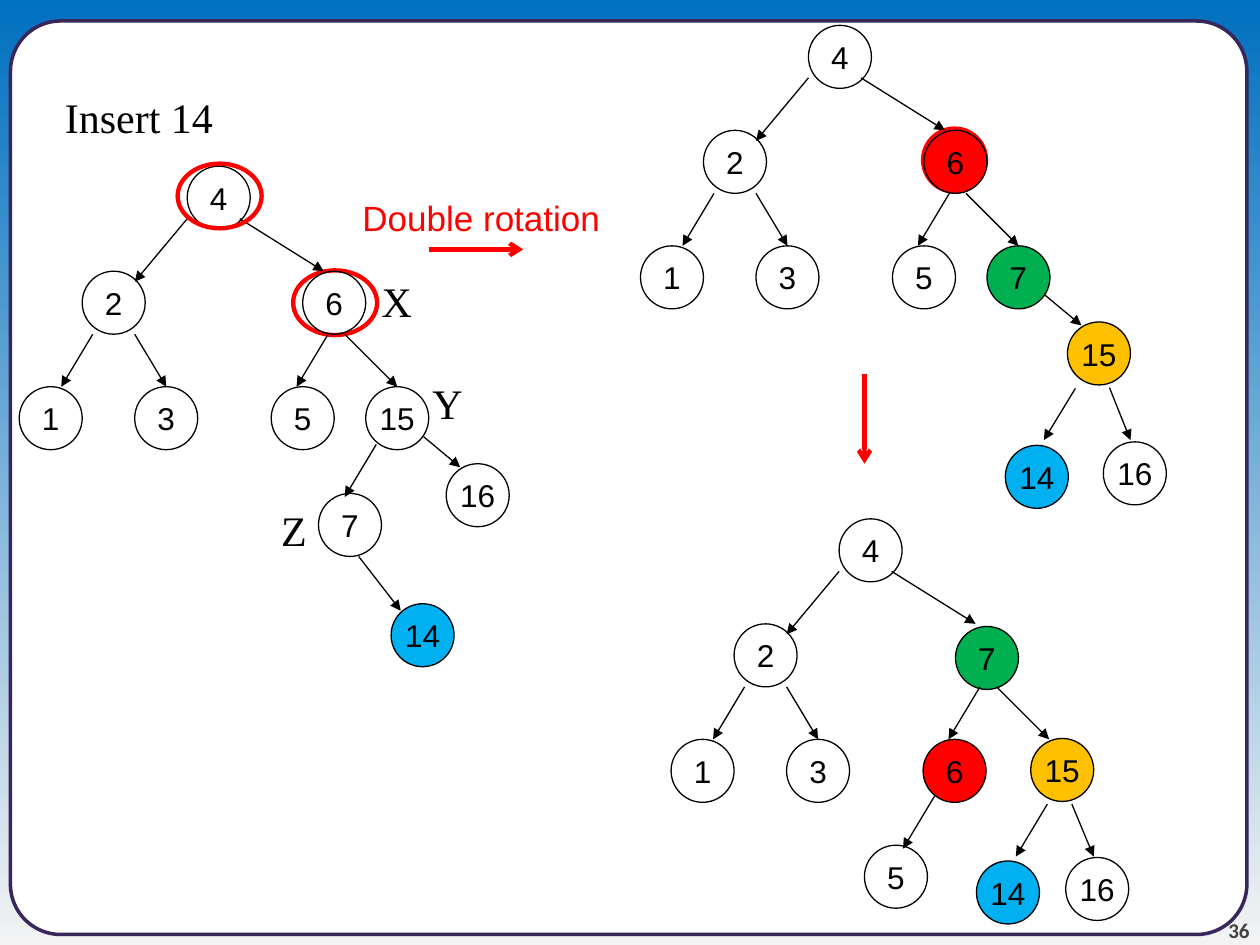
from dataclasses import dataclass

from lxml import etree
from pptx import Presentation
from pptx.dml.color import RGBColor
from pptx.enum.shapes import MSO_CONNECTOR, MSO_SHAPE
from pptx.enum.text import MSO_ANCHOR, PP_ALIGN
from pptx.oxml.ns import qn
from pptx.util import Pt

STRAIGHT = MSO_CONNECTOR.STRAIGHT
OVAL, RECTANGLE, ROUNDED = MSO_SHAPE.OVAL, MSO_SHAPE.RECTANGLE, MSO_SHAPE.ROUNDED_RECTANGLE
TOP, MIDDLE, BOTTOM = MSO_ANCHOR.TOP, MSO_ANCHOR.MIDDLE, MSO_ANCHOR.BOTTOM
LEFT, CENTER, RIGHT = PP_ALIGN.LEFT, PP_ALIGN.CENTER, PP_ALIGN.RIGHT


@dataclass(frozen=True)
class Theme:
    black: str = "000000"
    white: str = "FFFFFF"
    red: str = "FF0000"
    green: str = "00B050"
    amber: str = "FFC000"
    sky: str = "00B0F0"
    frame: str = "39275B"
    number: str = "424242"
    back_top: str = "0070C0"
    back_bottom: str = "F3F3F3"
    sans: str = "Arial"
    serif: str = "Times New Roman"
    footer: str = "Calibri"
    title_size: float = 24
    label_size: float = 20
    node_size: float = 18
    number_size: float = 12
    thin: float = 0.75
    thick: float = 2.5


THEME = Theme()
NODE = 36  # diameter of a tree node

# Every tree has the same left half and the same six upper edges,
# all measured from the top left corner of the root node.
LEFT_HALF = [("4", 0, 0, None), ("2", -60, 60, None), ("1", -96, 126, None), ("3", -30, 126, None)]
UPPER_EDGES = [(0, 30, -30, 66), (30, 30, 78, 60), (-54, 96, -72, 126),
               (-30, 96, -12, 126), (80.5, 96, 62.5, 126), (90, 96, 120, 126)]


def set_text(box, text, *, font=THEME.sans, size=THEME.node_size, color=THEME.black,
             bold=False, align=LEFT, anchor=TOP, wrap=False, inset=None):
    frame = box.text_frame
    frame.word_wrap = wrap
    frame.vertical_anchor = anchor
    if inset is not None:
        frame.margin_left = frame.margin_right = Pt(inset)
        frame.margin_top = frame.margin_bottom = Pt(inset)
    para = frame.paragraphs[0]
    para.alignment = align
    span = para.add_run()
    span.text = text
    span.font.name, span.font.size, span.font.bold = font, Pt(size), bold
    span.font.color.rgb = RGBColor.from_string(color)


def add_label(page, text, left, top, width, height, **style):
    box = page.shapes.add_textbox(Pt(left), Pt(top), Pt(width), Pt(height))
    set_text(box, text, **style)


def add_outline(page, kind, left, top, width, height, fill=None, line=None, weight=THEME.thin):
    shape = page.shapes.add_shape(kind, Pt(left), Pt(top), Pt(width), Pt(height))
    shape.shadow.inherit = False
    if fill:
        shape.fill.solid()
        shape.fill.fore_color.rgb = RGBColor.from_string(fill)
    else:
        shape.fill.background()
    if line:
        shape.line.color.rgb = RGBColor.from_string(line)
        shape.line.width = Pt(weight)
    else:
        shape.line.fill.background()
    return shape


def add_arrow(page, x1, y1, x2, y2, color=THEME.black, weight=THEME.thin, head="triangle"):
    arrow = page.shapes.add_connector(STRAIGHT, Pt(x1), Pt(y1), Pt(x2), Pt(y2))
    arrow.line.color.rgb = RGBColor.from_string(color)
    arrow.line.width = Pt(weight)
    etree.SubElement(arrow.line._get_or_add_ln(), qn("a:tailEnd"), type=head)
    etree.SubElement(arrow._element.spPr, qn("a:effectLst"))


def add_step_arrow(page, x1, y1, x2, y2):
    add_arrow(page, x1, y1, x2, y2, color=THEME.red, weight=THEME.thick, head="arrow")


def add_ring(page, left, top, width, height):
    add_outline(page, OVAL, left, top, width, height, line=THEME.red, weight=THEME.thick)


def add_tree(page, left, top, nodes, edges):
    """Draw a tree whose root node has its top left corner at (left, top)."""
    for text, x, y, fill in LEFT_HALF + nodes:
        node = add_outline(page, OVAL, left + x, top + y, NODE, NODE, fill, THEME.black)
        set_text(node, text, align=CENTER, anchor=MIDDLE)
    for x1, y1, x2, y2 in UPPER_EDGES + edges:
        add_arrow(page, left + x1, top + y1, left + x2, top + y2)


def add_backdrop(page):
    fill = page.background.fill
    fill.gradient()
    fill.gradient_angle = 270
    for stop, color, place in zip(fill.gradient_stops, (THEME.back_top, THEME.back_bottom), (0, 1)):
        stop.color.rgb = RGBColor.from_string(color)
        stop.position = place
    panel = add_outline(page, ROUNDED, 6, 12, 706.5, 522, THEME.white, THEME.frame, 2)
    panel.adjustments[0] = 0.055
    add_label(page, "36", 654, 510, 60, 28.5, font=THEME.footer, size=THEME.number_size,
              color=THEME.number, bold=True, align=RIGHT, anchor=BOTTOM, wrap=True, inset=0)
    add_outline(page, RECTANGLE, 35.5, 54, 643, 41, THEME.white)


def add_inserted_tree(page, left, top):
    add_ring(page, left + 60.5, top + 59.5, 48, 37)
    add_tree(page, left, top,
             [("6", 66, 60, None), ("5", 48, 126, None), ("15", 102, 126, THEME.white),
              ("16", 148, 170, None), ("7", 75, 187, None), ("14", 116.5, 250, THEME.sky)],
             [(135, 154.5, 156, 172), (108, 159, 90, 189), (98, 223, 122, 254)])
    add_ring(page, left - 5.5, top - 1.5, 48, 37)
    for text, x, y in (("Y", 133, 117), ("X", 104, 59), ("Z", 46.5, 190)):
        add_label(page, text, left + x, top + y, 35, 36,
                  font=THEME.serif, size=THEME.title_size, wrap=True)


def add_first_rotation_tree(page, left, top):
    add_ring(page, left + 65.5, top + 59, NODE, NODE)
    add_tree(page, left, top,
             [("6", 66, 60, THEME.red), ("5", 48, 126, None), ("7", 102, 126, THEME.green),
              ("15", 148, 169.5, THEME.amber), ("14", 112.5, 240, THEME.sky),
              ("16", 168.5, 238, None)],
             [(135, 154, 156, 171.5), (152.5, 207.5, 134.5, 237), (172, 207, 184, 237)])


def add_second_rotation_tree(page, left, top):
    add_tree(page, left, top,
             [("7", 66.5, 61.5, THEME.green), ("6", 48, 126, THEME.red),
              ("15", 109.5, 125.5, THEME.amber), ("14", 78.5, 195.5, THEME.sky),
              ("16", 129.5, 193.5, None), ("5", 14.5, 186.5, None)],
             [(119, 163, 101, 193), (133, 163, 145.5, 193), (54.5, 158.5, 36.5, 188.5)])


def main():
    deck = Presentation()
    deck.slide_width, deck.slide_height = Pt(720), Pt(540)
    page = deck.slides.add_slide(deck.slide_layouts[6])
    add_backdrop(page)

    # Title and step captions
    add_label(page, "Insert 14", 30, 48.5, 181, 36,
              font=THEME.serif, size=THEME.title_size, wrap=True)
    add_label(page, "Double rotation", 200, 108.5, 150.5, 31,
              size=THEME.label_size, color=THEME.red)
    add_step_arrow(page, 245, 142.5, 299, 142.5)
    add_step_arrow(page, 494, 214, 494, 265)

    # The three stages of the insertion
    add_inserted_tree(page, 107, 95)
    add_first_rotation_tree(page, 462, 14.5)
    add_second_rotation_tree(page, 479.5, 296.5)

    deck.save("out.pptx")


if __name__ == "__main__":
    main()
